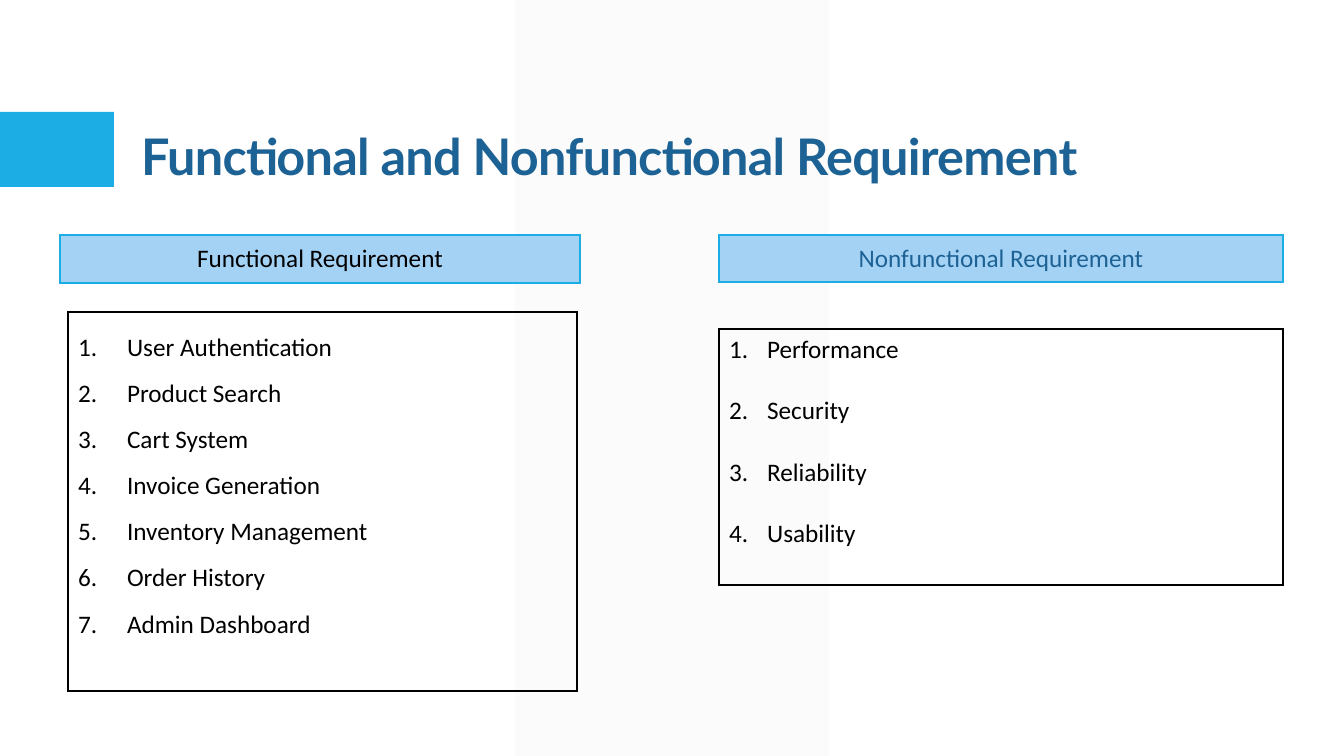
import pptx
import pptx.dml.color
import pptx.enum.shapes
import pptx.enum.text
import pptx.util
from lxml import etree
from pptx.oxml.ns import qn

HUES = {
    "paper": "FFFFFF", "stripe": "F2F2F2", "accent": "1CADE4",
    "head": "A4D2F5", "navy": "1D6294", "ink": "000000",
}
SCALE = 914400 / 100.8  # EMU in one px


def px(size):
    return pptx.util.Emu(round(size * SCALE))


def hue(name):
    return pptx.dml.color.RGBColor.from_string(HUES[name])


class Deck:
    """Holds the style and the current slide."""
    face, size = "Calibri", 18

    def __init__(self, wide, high):
        self.file = pptx.Presentation()
        self.file.slide_width, self.file.slide_height = px(wide), px(high)
        self.slide = self.file.slides.add_slide(self.file.slide_layouts[5])
        back = self.slide.background.fill
        back.solid()
        back.fore_color.rgb = hue("paper")

    def run(self, para, text, tint, face=None, size=None, bold=False):
        run = para.add_run()
        run.text = text
        font = run.font
        font.name, font.size = face or self.face, pptx.util.Pt(size or self.size)
        font.bold, font.color.rgb = bold, hue(tint)
        return run

    def block(self, kind, place, tint, alpha=None):
        shape = self.slide.shapes.add_shape(kind, *map(px, place))
        shape.shadow.inherit = False
        shape.line.fill.background()
        shape.fill.solid()
        shape.fill.fore_color.rgb = hue(tint)
        if alpha:
            color = shape.fill._xPr.find(".//" + qn("a:srgbClr"))
            etree.SubElement(color, qn("a:alpha"), val=str(alpha * 1000))
        return shape

    def title(self, text, place):
        shape = self.slide.shapes.title
        shape.left, shape.top, shape.width, shape.height = map(px, place)
        self.slide.shapes._spTree.append(shape._element)  # in front of the blocks
        frame = shape.text_frame
        frame.word_wrap = True
        frame.auto_size = pptx.enum.text.MSO_AUTO_SIZE.NONE
        frame.vertical_anchor = pptx.enum.text.MSO_ANCHOR.BOTTOM
        para = frame.paragraphs[0]
        para.alignment = pptx.enum.text.PP_ALIGN.LEFT
        para.line_spacing = 0.9
        run = self.run(para, text, "navy", "Lato", 36, True)
        run.font._element.set("spc", "-50")

    def cell(self, place, edge, fill=None):
        """Add a one-cell table and return its cell."""
        table = self.slide.shapes.add_table(1, 1, *map(px, place)).table
        table.first_row = table.horz_banding = False
        cell = table.cell(0, 0)
        props = cell._tc.get_or_add_tcPr()
        for side in ("lnL", "lnR", "lnT", "lnB"):
            line = etree.SubElement(props, qn("a:" + side), w="12700")
            solid = etree.SubElement(line, qn("a:solidFill"))
            etree.SubElement(solid, qn("a:srgbClr"), val=HUES[edge])
        if fill:
            cell.fill.solid()
            cell.fill.fore_color.rgb = hue(fill)
        else:
            cell.fill.background()
        return cell

    def head(self, text, place, tint):
        cell = self.cell(place, "accent", "head")
        cell.vertical_anchor = pptx.enum.text.MSO_ANCHOR.MIDDLE
        para = cell.text_frame.paragraphs[0]
        para.alignment = pptx.enum.text.PP_ALIGN.CENTER
        self.run(para, text, tint)

    def list(self, items, place, indent, pitch=1.0, gap=0):
        frame = self.cell(place, "ink").text_frame
        for i, item in enumerate(items):
            para = frame.add_paragraph() if i else frame.paragraphs[0]
            props = para._p.get_or_add_pPr()
            props.set("marL", str(px(indent)))
            props.set("indent", str(-px(indent)))
            etree.SubElement(props, qn("a:buFont"), typeface="+mj-lt")
            etree.SubElement(props, qn("a:buAutoNum"), type="arabicPeriod")
            para.line_spacing = pitch
            para.space_after = pptx.util.Pt(gap)
            self.run(para, item, "ink")


def main():
    deck = Deck(1344, 756)
    kinds = pptx.enum.shapes.MSO_SHAPE

    # Backdrop
    stripe = deck.block(kinds.PARALLELOGRAM, (515, 0, 314, 756), "stripe", 30)
    stripe.adjustments[0] = 0
    deck.block(kinds.RECTANGLE, (0, 112, 114, 75), "accent")

    # Title
    deck.title("Functional and Nonfunctional Requirement", (131, 31, 1197, 160))

    # Functional side
    deck.head("Functional Requirement", (60, 235, 520, 48), "ink")
    deck.list(
        ["User Authentication", "Product Search", "Cart System",
         "Invoice Generation", "Inventory Management", "Order History",
         "Admin Dashboard"],
        (68, 312, 509, 379), indent=49, pitch=1.5)

    # Nonfunctional side
    deck.head("Nonfunctional Requirement", (719, 235, 564, 47), "navy")
    deck.list(["Performance", "Security", "Reliability", "Usability"],
              (719, 329, 564, 256), indent=38, gap=22)

    deck.file.save("out.pptx")


if __name__ == "__main__":
    main()
